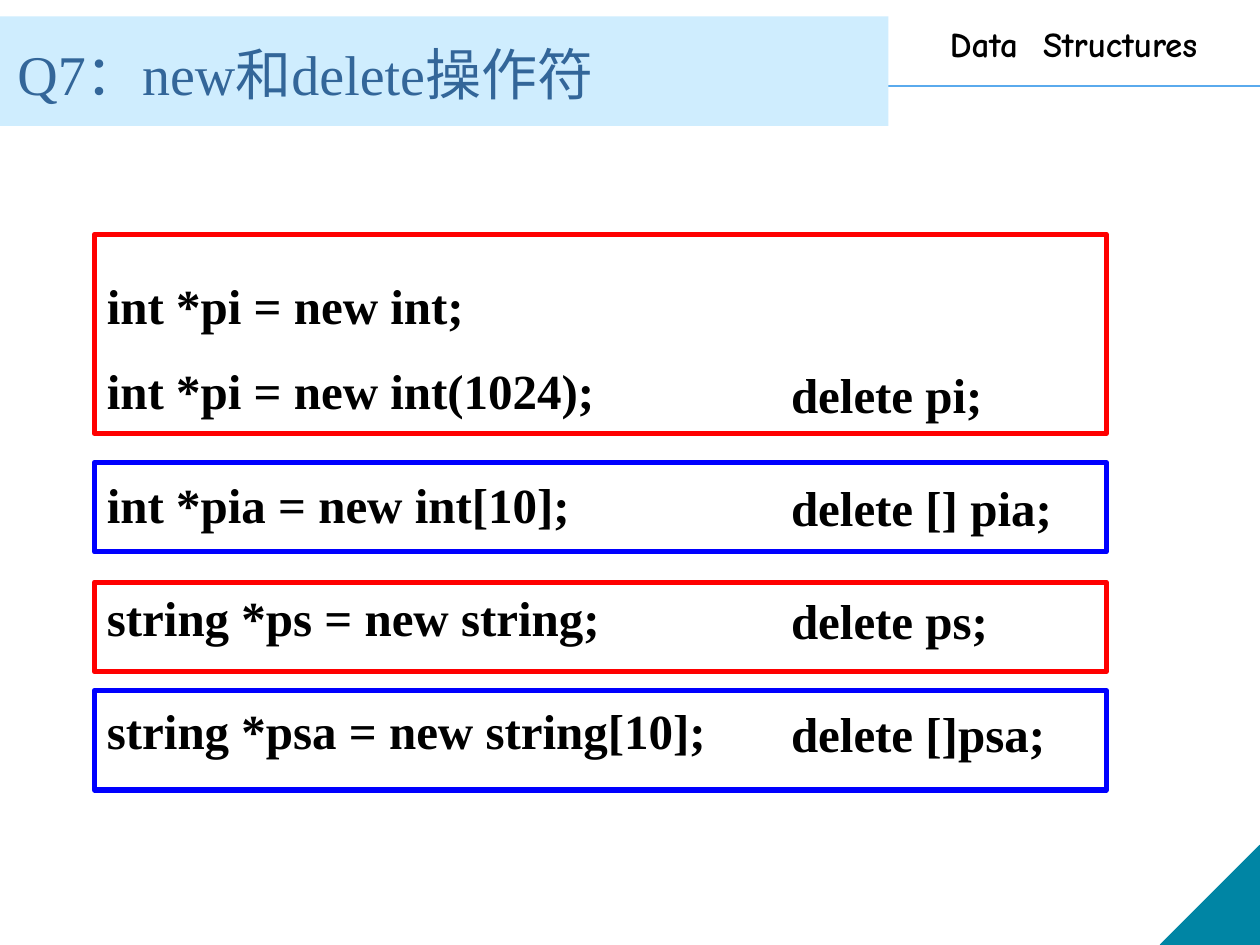
from lxml import etree
from pptx import Presentation
from pptx import util as u
from pptx.dml.color import RGBColor
from pptx.enum import shapes, text
from pptx.oxml.ns import qn

Inches = u.Inches
COLORS = {
    "banner": "CFEDFE", "title": "336699", "rule": "5AAAED", "corner": "0085A4",
    "text": "000000", "single": "FF0000", "array": "0000FF",
}
SERIF = "Times New Roman"
LINE_GAP, GROUP_GAP = 15, 31


def color(name):
    return RGBColor.from_string(COLORS[name])


def add_box(slide, kind, left, top, width, height, fill=None, line=None, line_width=1):
    shape = slide.shapes.add_shape(
        kind, Inches(left), Inches(top), Inches(width), Inches(height))
    shape.shadow.inherit = False
    if fill:
        shape.fill.solid()
        shape.fill.fore_color.rgb = color(fill)
    else:
        shape.fill.background()
    if line:
        shape.line.color.rgb = color(line)
        shape.line.width = u.Pt(line_width)
    else:
        shape.line.fill.background()
    return shape


def add_text(slide, left, top, width, height, lines, size, font=SERIF,
             ink="text", bold=False, anchor=text.MSO_ANCHOR.TOP):
    box = slide.shapes.add_textbox(
        Inches(left), Inches(top), Inches(width), Inches(height))
    frame = box.text_frame
    frame.word_wrap = True
    frame.vertical_anchor = anchor
    frame.text = "\n".join(line for line, gap in lines)
    for paragraph, (line, gap) in zip(frame.paragraphs, lines):
        if gap:
            paragraph.space_before = u.Pt(gap)
        for run in paragraph.runs:
            run.font.size = u.Pt(size)
            run.font.name = font
            run.font.bold = bold
            run.font.color.rgb = color(ink)
    return box


def add_tab_stop(paragraph, position):
    tabs = etree.SubElement(paragraph._p.get_or_add_pPr(), qn("a:tabLst"))
    etree.SubElement(tabs, qn("a:tab"), pos=str(Inches(position)), algn="l")


def add_header(slide, left, top, width):
    rule_y = Inches(top + 0.55)
    rule = slide.shapes.add_connector(
        shapes.MSO_CONNECTOR.STRAIGHT, Inches(left), rule_y, Inches(left + width), rule_y)
    rule.line.color.rgb = color("rule")
    rule.line.width = u.Pt(1)
    etree.SubElement(rule._element.spPr, qn("a:effectLst"))
    course = add_text(slide, left + 7.44, top, 2.6, 0.43, [("Data\tStructures", 0)],
                      20, font="Comic Neue", bold=True)
    add_tab_stop(course.text_frame.paragraphs[0], 0.74)
    add_box(slide, shapes.MSO_SHAPE.RECTANGLE, left, top, 7.05, 0.87, fill="banner")
    add_text(slide, left + 0.04, top + 0.08, 7.01, 0.69, [("Q7：new和delete操作符", 0)],
             32, ink="title", anchor=text.MSO_ANCHOR.BOTTOM)


def add_corner(slide, right, bottom, size):
    corner = add_box(slide, shapes.MSO_SHAPE.RIGHT_TRIANGLE, right - size, bottom - size,
                     size, size, fill="corner", line="corner", line_width=0.75)
    corner._element.spPr.get_or_add_xfrm().set("flipH", "1")


def add_code(slide, left, top, width):
    allocations = [
        ("int *pi = new int;", 0),
        ("int *pi = new int(1024);", LINE_GAP),
        ("int *pia = new int[10];", GROUP_GAP),
        ("string *ps = new string;", GROUP_GAP),
        ("string *psa = new string[10];", GROUP_GAP),
    ]
    releases = [
        ("delete pi;", 0),
        ("delete [] pia;", GROUP_GAP),
        ("delete ps;", GROUP_GAP),
        ("delete []psa;", GROUP_GAP),
    ]
    add_text(slide, left, top + 0.28, 5.12, 4.01, allocations, 28, bold=True)
    add_text(slide, left + 5.43, top + 0.98, 3.07, 3.3, releases, 28, bold=True)
    frames = [(0, 1.58, "single"), (1.81, 0.71, "array"),
              (2.76, 0.71, "single"), (3.62, 0.79, "array")]
    for offset, height, line in frames:
        add_box(slide, shapes.MSO_SHAPE.RECTANGLE, left, top + offset, width, height,
                line=line, line_width=3)


def main():
    presentation = Presentation()
    presentation.slide_width = Inches(10)
    presentation.slide_height = Inches(7.5)
    slide = presentation.slides.add_slide(presentation.slide_layouts[6])
    add_header(slide, 0, 0.13, 10)
    add_corner(slide, 10, 7.5, 0.79)
    add_code(slide, 0.75, 1.86, 8.03)
    presentation.save("out.pptx")


if __name__ == "__main__":
    main()
